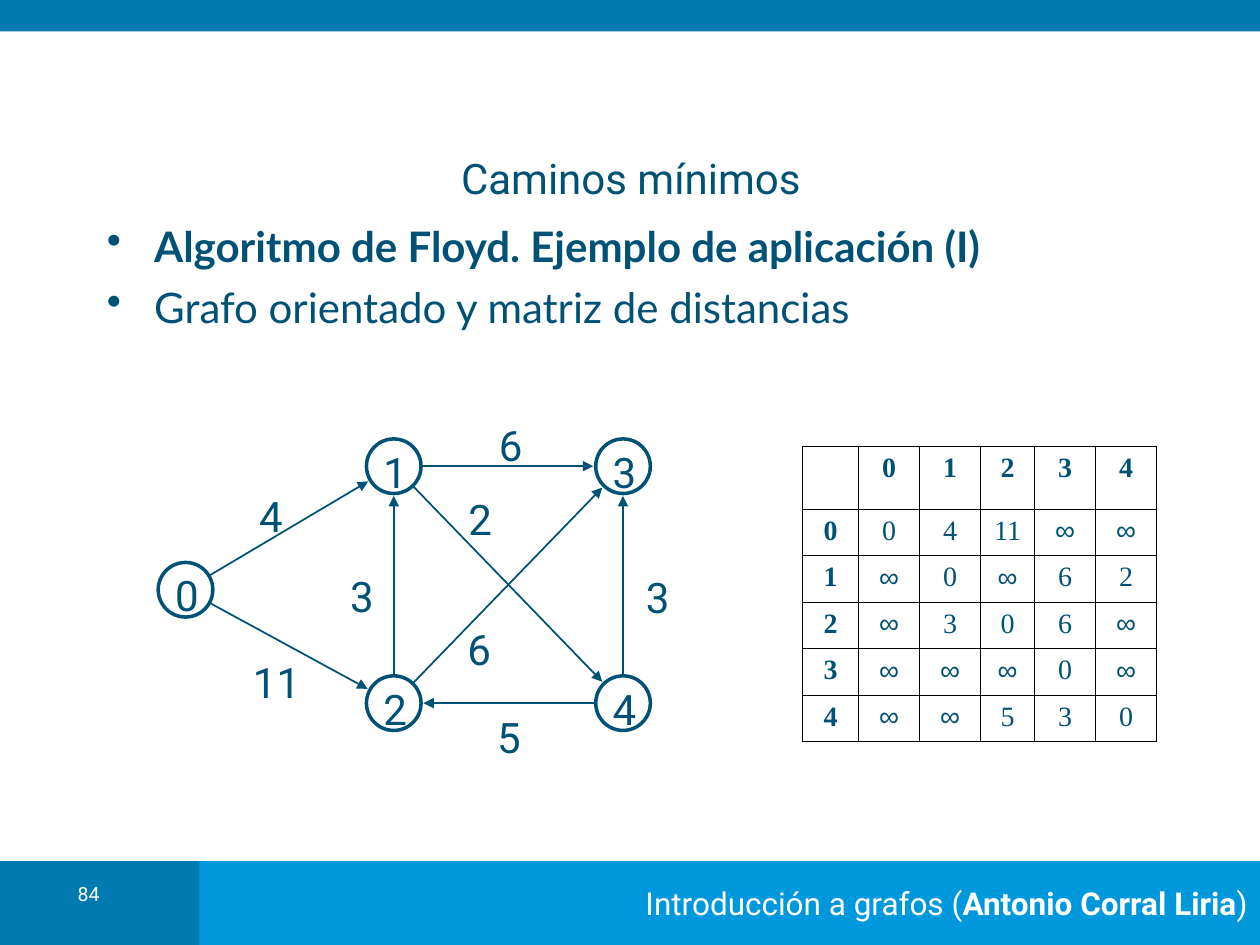
from math import hypot

from lxml import etree
from pptx import Presentation
from pptx.dml.color import RGBColor
from pptx.enum.shapes import MSO_CONNECTOR, MSO_SHAPE
from pptx.enum.text import MSO_ANCHOR, PP_ALIGN
from pptx.oxml.ns import qn
from pptx.util import Pt

RECT, OVAL = MSO_SHAPE.RECTANGLE, MSO_SHAPE.OVAL
STRAIGHT = MSO_CONNECTOR.STRAIGHT
LEFT, CENTER, RIGHT = PP_ALIGN.LEFT, PP_ALIGN.CENTER, PP_ALIGN.RIGHT
TOP, MIDDLE = MSO_ANCHOR.TOP, MSO_ANCHOR.MIDDLE

INK = RGBColor(0x00, 0x51, 0x76)
DARK_BLUE = RGBColor(0x00, 0x7A, 0xB1)
BLUE = RGBColor(0x00, 0x98, 0xDC)
WHITE = RGBColor(0xFF, 0xFF, 0xFF)
BLACK = RGBColor(0x00, 0x00, 0x00)

NODES = [(16, 101), (135, 30.4), (135, 165.8), (266, 30.4), (266, 165.8)]
NODE_SIZE = 31.2
START_GAP, END_GAP = 16, 17
EDGES = [(0, 1), (0, 2), (1, 3), (4, 2), (2, 1), (4, 3), (2, 3), (1, 4)]
WEIGHTS = [
    ("4", 51, 41), ("11", 47.5, 135.5), ("3", 103, 86.6), ("2", 170.6, 42.6),
    ("6", 170, 116.8), ("6", 188, 0), ("5", 187, 167), ("3", 272, 87),
]

DISTANCES = [
    ["", "0", "1", "2", "3", "4"],
    ["0", "0", "4", "11", "∞", "∞"],
    ["1", "∞", "0", "∞", "6", "2"],
    ["2", "∞", "3", "0", "6", "∞"],
    ["3", "∞", "∞", "∞", "0", "∞"],
    ["4", "∞", "∞", "5", "3", "0"],
]
COL_WIDTHS = [32, 34.9, 34.9, 30.8, 34.9, 34.9]
ROW_HEIGHTS = [36] + [26.6] * 5


def add_sub(parent, tag, **attrs):
    return etree.SubElement(parent, qn(tag), attrs)


def add_color(parent, tag, color):
    add_sub(add_sub(parent, tag), "a:srgbClr", val=str(color))


def style(font, size, color=INK, name="Roboto", bold=False):
    font.size, font.name, font.bold = Pt(size), name, bold
    font.color.rgb = color


def add_text(shapes, box, text, size=24, color=INK, align=LEFT, anchor=TOP, wrap=True):
    tf = shapes.add_textbox(*map(Pt, box)).text_frame
    tf.word_wrap, tf.vertical_anchor = wrap, anchor
    tf.text = text
    p = tf.paragraphs[0]
    p.alignment = align
    style(p.runs[0].font, size, color)
    return p


def add_bar(s, box, color):
    sp = s.shapes.add_shape(RECT, *map(Pt, box))
    sp.shadow.inherit = False
    sp.fill.solid()
    sp.fill.fore_color.rgb = color
    sp.line.fill.background()
    return sp


def add_footer(s, x, y, w, h):
    add_bar(s, (x, y, 132, h), DARK_BLUE)
    tf = add_bar(s, (x + 114, y, w - 114, h), BLUE).text_frame
    tf.word_wrap, tf.vertical_anchor = False, MIDDLE
    p = tf.paragraphs[0]
    p.alignment = RIGHT
    for text, bold in [("Introducción a grafos (", False), ("Antonio Corral Liria", True), (")", False)]:
        r = p.add_run()
        r.text = text
        style(r.font, 18, WHITE, bold=bold)
    number = add_text(s.shapes, (x + 25.2, y + 10.8, 51, 23), "84", 11.2, WHITE, CENTER)
    number.line_spacing = 0.8


def add_bullets(s, x, y, w, h):
    tf = s.shapes.add_textbox(Pt(x), Pt(y), Pt(w), Pt(h)).text_frame
    tf.word_wrap = True
    tf.text = "Algoritmo de Floyd. Ejemplo de aplicación (I)\nGrafo orientado y matriz de distancias"
    for i, p in enumerate(tf.paragraphs):
        pPr = p._p.get_or_add_pPr()
        pPr.set("marL", str(Pt(27)))
        pPr.set("indent", str(-Pt(27)))
        add_color(pPr, "a:buClr", INK)
        add_sub(pPr, "a:buChar", char="•")
        p.space_before = Pt(6 * i)
        style(p.runs[0].font, 24, name="Lato", bold=i == 0)


def add_arrow(shapes, x1, y1, x2, y2):
    arrow = shapes.add_connector(STRAIGHT, Pt(x1), Pt(y1), Pt(x2), Pt(y2))
    arrow.line.color.rgb = INK
    arrow.line.width = Pt(1)
    add_sub(arrow.line._get_or_add_ln(), "a:tailEnd", type="triangle")
    add_sub(arrow._element.spPr, "a:effectLst")


def add_graph(s, x, y):
    shapes = s.shapes.add_group_shape().shapes
    centers = [(x + dx, y + dy) for dx, dy in NODES]
    for i, (cx, cy) in enumerate(centers):
        half = NODE_SIZE / 2
        sp = shapes.add_shape(OVAL, Pt(cx - half), Pt(cy - half), Pt(NODE_SIZE), Pt(NODE_SIZE))
        sp.shadow.inherit = False
        sp.fill.background()
        sp.line.color.rgb = INK
        sp.line.width = Pt(2)
        add_text(shapes, (cx - 13, cy - 15, 24, 36), str(i), align=CENTER)
    for start, end in EDGES:
        (x1, y1), (x2, y2) = centers[start], centers[end]
        length = hypot(x2 - x1, y2 - y1)
        ux, uy = (x2 - x1) / length, (y2 - y1) / length
        add_arrow(shapes, x1 + START_GAP * ux, y1 + START_GAP * uy,
                  x2 - END_GAP * ux, y2 - END_GAP * uy)
    for text, dx, dy in WEIGHTS:
        add_text(shapes, (x + dx, y + dy, 14 + 14 * len(text), 36), text, wrap=False)


def style_cell(cell, text, bold):
    tcPr = cell._tc.get_or_add_tcPr()
    for side in ("a:lnL", "a:lnR", "a:lnT", "a:lnB"):
        add_color(add_sub(tcPr, side, w=str(Pt(0.45))), "a:solidFill", BLACK)
    cell.fill.background()
    cell.text = text
    p = cell.text_frame.paragraphs[0]
    p.alignment = CENTER
    for r in p.runs:
        style(r.font, 16, name="Arial" if text == "∞" else "Times New Roman", bold=bold)


def add_distance_table(s, x, y):
    rows, cols = len(ROW_HEIGHTS), len(COL_WIDTHS)
    table = s.shapes.add_table(rows, cols, Pt(x), Pt(y), Pt(sum(COL_WIDTHS)), Pt(sum(ROW_HEIGHTS))).table
    table.first_row = table.horz_banding = False
    for col, width in zip(table.columns, COL_WIDTHS):
        col.width = Pt(width)
    for i, height in enumerate(ROW_HEIGHTS):
        table.rows[i].height = Pt(height)
        for j, text in enumerate(DISTANCES[i]):
            style_cell(table.cell(i, j), text, bold=i == 0 or j == 0)


def main():
    prs = Presentation()
    prs.slide_width, prs.slide_height = Pt(720), Pt(540)
    s = prs.slides.add_slide(prs.slide_layouts[6])
    add_footer(s, 0, 492, 720, 48)
    add_bar(s, (0, 0, 720, 18), DARK_BLUE)
    add_text(s.shapes, (60, 86.4, 601, 30.2), "Caminos mínimos", align=CENTER, anchor=MIDDLE)
    add_bullets(s, 54, 122.4, 651.6, 368.6)
    add_graph(s, 90, 236)
    add_distance_table(s, 458.6, 254.9)
    prs.save("out.pptx")


if __name__ == "__main__":
    main()
